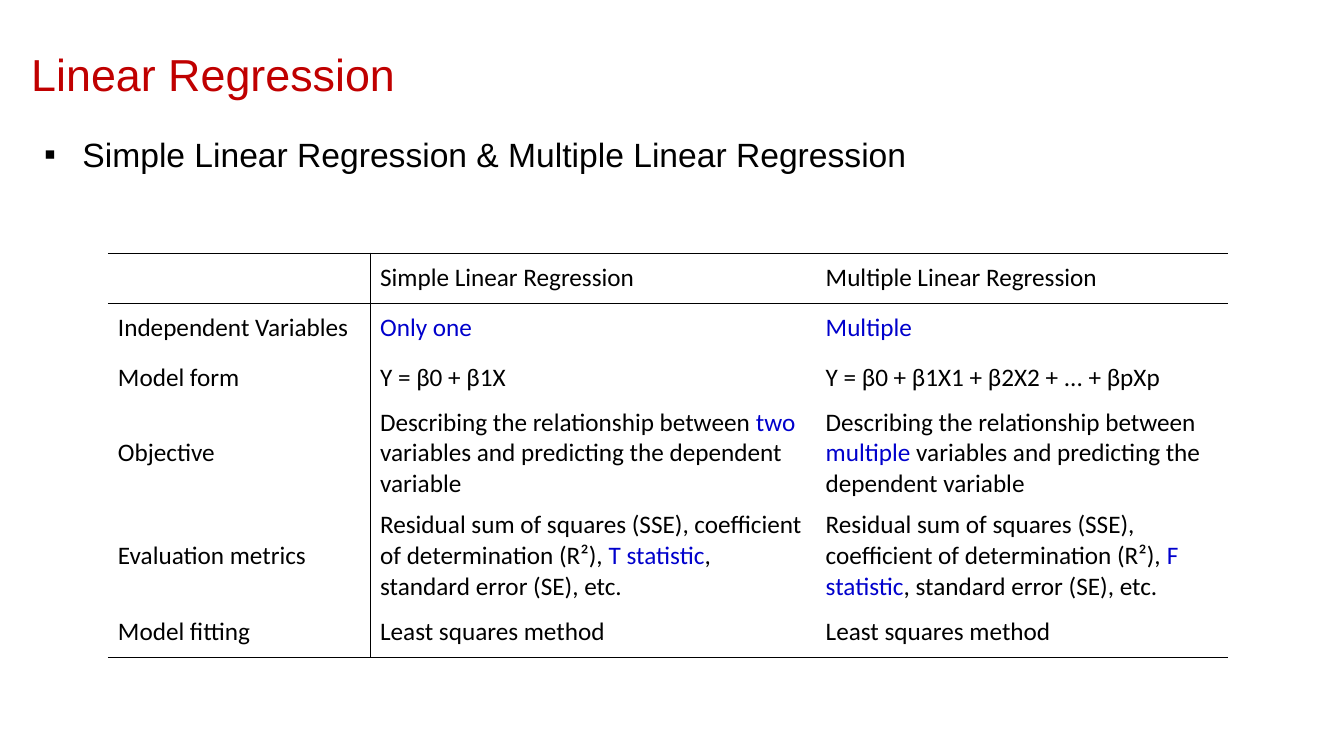
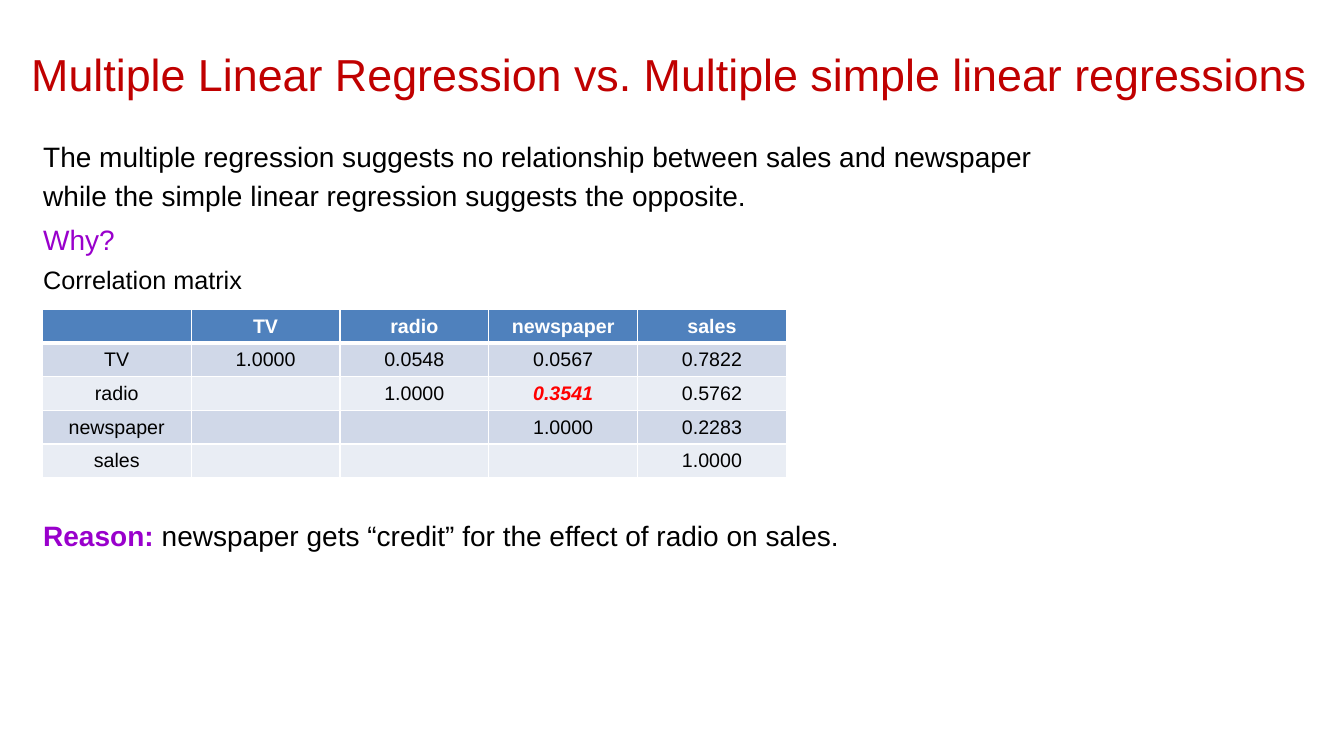
import pptx
import pptx.util
import pptx.dml.color
import pptx.enum.shapes
import pptx.enum.text
from lxml import etree

Inches, Pt = pptx.util.Inches, pptx.util.Pt
RGBColor = pptx.dml.color.RGBColor
PP_ALIGN = pptx.enum.text.PP_ALIGN
MSO_ANCHOR = pptx.enum.text.MSO_ANCHOR
RECTANGLE = pptx.enum.shapes.MSO_SHAPE.RECTANGLE

BLACK = RGBColor(0x00, 0x00, 0x00)
WHITE = RGBColor(0xFF, 0xFF, 0xFF)
TITLE_RED = RGBColor(0xC0, 0x00, 0x00)
KEY_BLUE = RGBColor(0x00, 0x00, 0xCC)
KEY_PURPLE = RGBColor(0x99, 0x00, 0xCC)
KEY_RED = RGBColor(0xFF, 0x00, 0x00)
HEADER_BLUE = RGBColor(0x4F, 0x81, 0xBD)
BANDS = RGBColor(0xD0, 0xD8, 0xE8), RGBColor(0xE9, 0xED, 0xF4)
HEADING_FONT, TABLE_FONT = "Arial", "Calibri"
RULE = 0.75
DRAWING_NS = "http://schemas.openxmlformats.org/drawingml/2006/main"

COMPARISON = [
    ["", "Simple Linear Regression", "Multiple Linear Regression"],
    ["Independent Variables", "*Only one*", "*Multiple*"],
    ["Model form", "Y = β0 + β1X", "Y = β0 + β1X1 + β2X2 + ... + βpXp"],
    ["Objective",
     "Describing the relationship between *two* variables and predicting the dependent variable",
     "Describing the relationship between *multiple* variables and predicting the dependent variable"],
    ["Evaluation metrics",
     "Residual sum of squares (SSE), coefficient of determination (R²), *T statistic*, standard error (SE), etc.",
     "Residual sum of squares (SSE), coefficient of determination (R²), *F statistic*, standard error (SE), etc."],
    ["Model fitting", "Least squares method", "Least squares method"],
]
CORRELATION = [
    ["", "TV", "radio", "newspaper", "sales"],
    ["TV", "1.0000", "0.0548", "0.0567", "0.7822"],
    ["radio", "", "1.0000", "*0.3541*", "0.5762"],
    ["newspaper", "", "", "1.0000", "0.2283"],
    ["sales", "", "", "", "1.0000"],
]


def write(p, text, size, color=BLACK, key=None, font=HEADING_FONT, bold=False, key_bold=False, key_italic=False):
    """Fill a paragraph, giving the parts between asterisks the key style."""
    for i, part in enumerate(text.split("*")):
        if not part:
            continue
        is_key = i % 2 == 1
        r = p.add_run()
        r.text = part
        r.font.name, r.font.size = font, Pt(size)
        r.font.color.rgb = key if is_key else color
        r.font.bold = key_bold if is_key else bold
        r.font.italic = is_key and key_italic


def add_slide(prs, title, width):
    """Add a title-only slide with its red title."""
    s = prs.slides.add_slide(prs.slide_layouts[5])
    sp = s.shapes.title
    sp.left, sp.top, sp.width, sp.height = Inches(0.21), Inches(0.41), Inches(width), Inches(0.74)
    tf = sp.text_frame
    tf.auto_size = pptx.enum.text.MSO_AUTO_SIZE.NONE
    tf.vertical_anchor = MSO_ANCHOR.TOP
    tf.paragraphs[0].alignment = PP_ALIGN.LEFT
    write(tf.paragraphs[0], title, 32, TITLE_RED)
    return s


def fill_text(sp, lines, size, space=0, bullet=None, **style):
    """Write one left-aligned paragraph per line into a shape."""
    tf = sp.text_frame
    tf.word_wrap = True
    tf.vertical_anchor = MSO_ANCHOR.TOP
    for i, line in enumerate(lines):
        p = tf.paragraphs[0] if i == 0 else tf.add_paragraph()
        p.alignment = PP_ALIGN.LEFT
        if i:
            p.space_before = Pt(space)
        if bullet:
            pPr = p._p.get_or_add_pPr()
            pPr.set("marL", str(Inches(0.38)))
            pPr.set("indent", str(-Inches(0.38)))
            etree.SubElement(pPr, f"{{{DRAWING_NS}}}buFont", typeface=HEADING_FONT)
            etree.SubElement(pPr, f"{{{DRAWING_NS}}}buChar", char=bullet)
        write(p, line, size, **style)


def add_text(s, box, lines, size, **style):
    """Add a wrapped text box."""
    fill_text(s.shapes.add_textbox(*map(Inches, box)), lines, size, **style)


def add_panel(s, box, lines, size, **style):
    """Add a white rectangle with text."""
    sp = s.shapes.add_shape(RECTANGLE, *map(Inches, box))
    sp.shadow.inherit = False
    sp.fill.solid()
    sp.fill.fore_color.rgb = WHITE
    sp.line.fill.background()
    fill_text(sp, lines, size, **style)


def set_borders(cell, color, widths):
    """Draw the left, right, top and bottom borders; zero width hides one."""
    tcPr = cell._tc.get_or_add_tcPr()
    for i, (side, width) in enumerate(zip("LRTB", widths)):
        ln = etree.Element(f"{{{DRAWING_NS}}}ln{side}", w=str(Pt(width)))
        if width:
            fill = etree.SubElement(ln, f"{{{DRAWING_NS}}}solidFill")
            etree.SubElement(fill, f"{{{DRAWING_NS}}}srgbClr", val=str(color))
        else:
            etree.SubElement(ln, f"{{{DRAWING_NS}}}noFill")
        tcPr.insert(i, ln)


def add_grid(s, left, top, widths, heights):
    """Add an unbanded table with the given column widths and row heights."""
    table = s.shapes.add_table(len(heights), len(widths), Inches(left), Inches(top),
                               Inches(sum(widths)), Inches(sum(heights))).table
    table.first_row = table.horz_banding = False
    for column, width in zip(table.columns, widths):
        column.width = Inches(width)
    for row, height in zip(table.rows, heights):
        row.height = Inches(height)
    for cell in table.iter_cells():
        cell.vertical_anchor = MSO_ANCHOR.MIDDLE
    return table


def add_comparison(s, left, top):
    """Add the ruled comparison of both regression types."""
    table = add_grid(s, left, top, [2.6, 4.42, 4.09], [0.5, 0.49, 0.49, 1, 1, 0.5])
    last = len(COMPARISON) - 1
    for i, row in enumerate(COMPARISON):
        for j, text in enumerate(row):
            cell = table.cell(i, j)
            cell.fill.background()
            edges = j == 1, j == 0, i in (0, 1), i in (0, last)
            set_borders(cell, BLACK, [RULE * edge for edge in edges])
            write(cell.text_frame.paragraphs[0], text, 18, key=KEY_BLUE, font=TABLE_FONT)


def add_correlation(s, left, top, width, height):
    """Add the banded correlation matrix."""
    count = len(CORRELATION)
    table = add_grid(s, left, top, [width / count] * count, [height / count] * count)
    for i, row in enumerate(CORRELATION):
        header = i == 0
        for j, text in enumerate(row):
            cell = table.cell(i, j)
            cell.margin_top = cell.margin_bottom = 0
            cell.fill.solid()
            cell.fill.fore_color.rgb = HEADER_BLUE if header else BANDS[(i - 1) % 2]
            set_borders(cell, WHITE, [1, 1, 3 if i == 1 else 1, 3 if header else 1])
            p = cell.text_frame.paragraphs[0]
            p.alignment = PP_ALIGN.CENTER
            write(p, text, 14, WHITE if header else BLACK, KEY_RED, bold=header, key_bold=True, key_italic=True)


def build_comparison_slide(prs):
    """Build the slide on simple and multiple regression."""
    s = add_slide(prs, "Linear Regression", 9.45)
    add_panel(s, (0.34, 1.28, 9.36, 0.5), ["Simple Linear Regression & Multiple Linear Regression"], 24, bullet="▪")
    add_comparison(s, 1.07, 2.51)


def build_correlation_slide(prs):
    """Build the slide that explains the newspaper effect."""
    s = add_slide(prs, "Multiple Linear Regression vs. Multiple simple linear regressions", 13.12)
    left = 0.33
    add_text(s, (left, 1.33, 10.75, 0.82),
             ["The multiple regression suggests no relationship between sales and newspaper",
              "while the simple linear regression suggests the opposite."], 20, space=4.5)
    add_correlation(s, 0.42, 3.07, 7.38, 1.67)
    add_text(s, (left, 2.57, 2.8, 0.4), ["Correlation matrix"], 18)
    add_panel(s, (left, 5.09, 10.84, 0.44),
              ["*Reason: *newspaper gets “credit” for the effect of radio on sales."], 20,
              key=KEY_PURPLE, key_bold=True)
    add_text(s, (left, 2.16, 6.17, 0.44), ["Why?"], 20, color=KEY_PURPLE)


def main():
    """Build and save the presentation."""
    prs = pptx.Presentation()
    prs.slide_width, prs.slide_height = Inches(13.33), Inches(7.5)
    build_comparison_slide(prs)
    build_correlation_slide(prs)
    prs.save("out.pptx")


if __name__ == "__main__":
    main()
